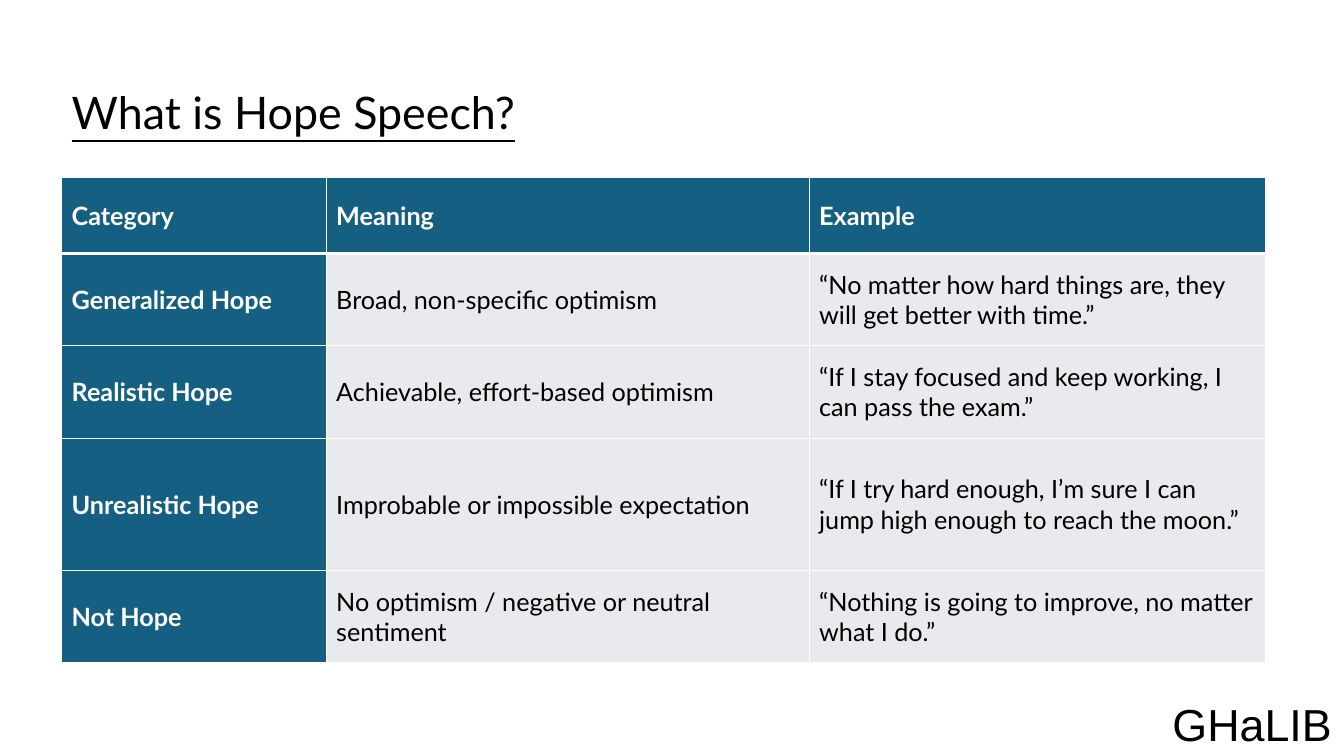
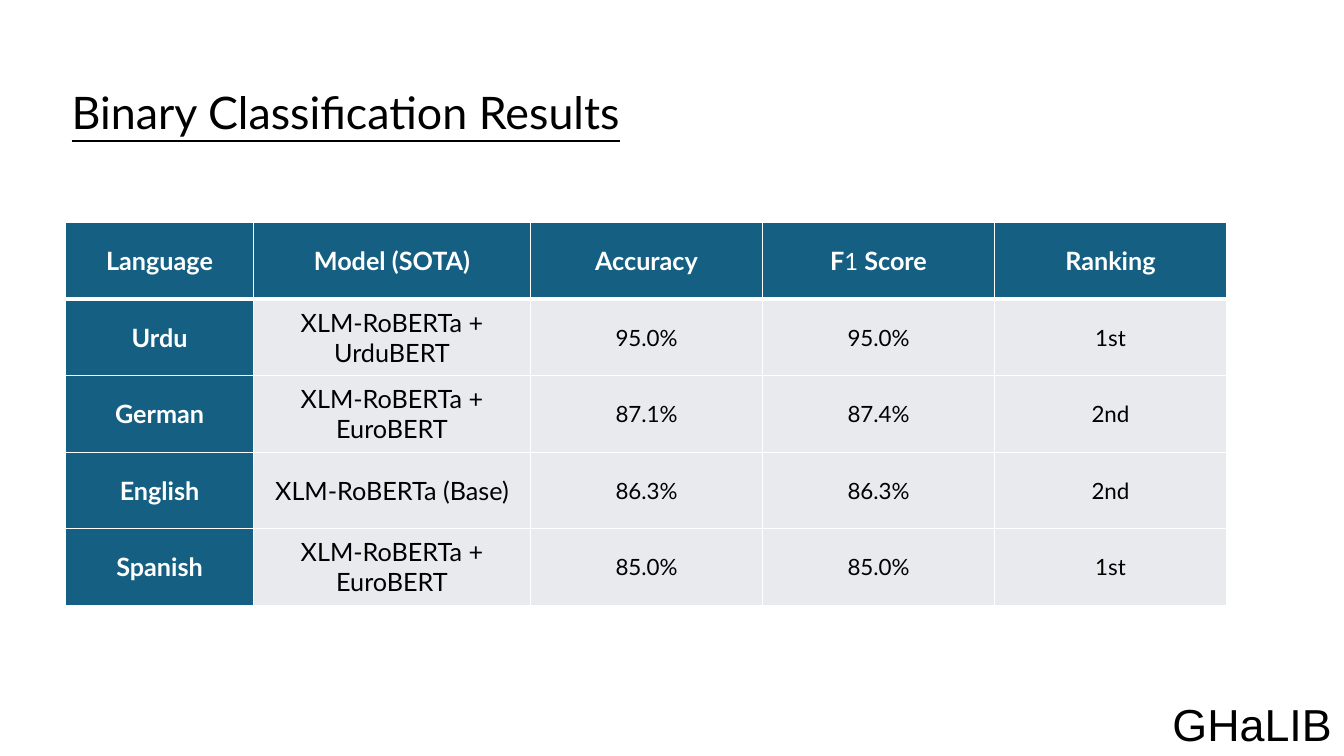
from lxml.etree import SubElement
from pptx import Presentation
from pptx.dml.color import RGBColor
from pptx.enum.text import MSO_ANCHOR as ANCHOR, PP_ALIGN as ALIGN
from pptx.oxml.ns import qn
from pptx.util import Pt

BLACK = RGBColor(0x00, 0x00, 0x00)
WHITE = RGBColor(0xFF, 0xFF, 0xFF)
TEAL = RGBColor(0x15, 0x60, 0x82)
PALE = RGBColor(0xE8, 0xEA, 0xED)


class Deck:
    """Shared style and the slide being built."""
    FONT = "Lato"
    FOOTER_FONT = "Arial"
    TITLE_ONLY = 5

    def __init__(self):
        self.prs = Presentation()
        self.prs.slide_width, self.prs.slide_height = Pt(960), Pt(540)
        self.s = None

    def style(self, p, size, color=BLACK, bold=False, name=FONT, align=ALIGN.LEFT):
        p.alignment = align
        f = p.font
        f.name, f.size, f.bold = name, Pt(size), bold
        f.color.rgb = color

    def slide(self, title, width):
        self.s = self.prs.slides.add_slide(self.prs.slide_layouts[self.TITLE_ONLY])
        self.footer("GHaLIB")
        self.title(title, width)

    def title(self, text, width):
        sp = self.s.shapes.title
        sp.left, sp.top, sp.width, sp.height = Pt(44), Pt(57), Pt(width), Pt(46)
        tf = sp.text_frame
        tf.text = text
        tf.word_wrap = False
        tf.vertical_anchor = ANCHOR.MIDDLE
        p = tf.paragraphs[0]
        self.style(p, 32)
        p.font.underline = True

    def footer(self, text):
        tf = self.s.shapes.add_textbox(Pt(830.4), Pt(494), Pt(129.6), Pt(46)).text_frame
        tf.word_wrap = True
        tf.text = text
        self.style(tf.paragraphs[0], 32, name=self.FOOTER_FONT)

    def borders(self, cell, top, bottom):
        tc_pr = cell._tc.get_or_add_tcPr()
        for side, width in (("L", 1), ("R", 1), ("T", top), ("B", bottom)):
            ln = SubElement(tc_pr, qn(f"a:ln{side}"), w=str(Pt(width)))
            fill = SubElement(ln, qn("a:solidFill"))
            SubElement(fill, qn("a:srgbClr"), val=str(WHITE))

    def table(self, left, top, widths, heights, rows, sizes, align=ALIGN.LEFT):
        """Table with a dark header row and first column; sizes are per body column."""
        tb = self.s.shapes.add_table(len(rows), len(widths), Pt(left), Pt(top),
                                     Pt(sum(widths)), Pt(sum(heights))).table
        tb.first_row = tb.horz_banding = False
        for col, width in zip(tb.columns, widths):
            col.width = Pt(width)
        for row, height in zip(tb.rows, heights):
            row.height = Pt(height)
        for i, row in enumerate(rows):
            for j, text in enumerate(row):
                cell = tb.cell(i, j)
                dark = i == 0 or j == 0
                # A 3 pt rule parts the header from the body
                self.borders(cell, 3 if i == 1 else 1, 3 if i == 0 else 1)
                cell.fill.solid()
                cell.fill.fore_color.rgb = TEAL if dark else PALE
                cell.vertical_anchor = ANCHOR.MIDDLE
                p = cell.text_frame.paragraphs[0]
                self.style(p, 18 if dark else sizes[j], WHITE if dark else BLACK,
                           dark, align=align)
                for part in [text] if isinstance(text, str) else text:
                    p.add_run().text = part
        return tb


def main():
    deck = Deck()

    # Hope speech categories
    deck.slide("What is Hope Speech?", 354)
    deck.table(44, 127, [189, 345, 326], [54, 66, 66, 94.5, 66], [
        ["Category", "Meaning", "Example"],
        ["Generalized Hope", "Broad, non-specific optimism",
         "“No matter how hard things are, they will get better with time.”"],
        ["Realistic Hope", "Achievable, effort-based optimism",
         "“If I stay focused and keep working, I can pass the exam.”"],
        ["Unrealistic Hope", "Improbable or impossible expectation",
         "“If I try hard enough, I’m sure I can jump high enough to reach the moon.”"],
        ["Not Hope", "No optimism / negative or neutral sentiment",
         "“Nothing is going to improve, no matter what I do.”"],
    ], [18] * 3)

    # Results by language
    deck.slide("Binary Classification Results", 418)
    results = deck.table(47, 159, [134, 198] + [165.7] * 3, [54.7] * 5, [
        ["Language", "Model (SOTA)", "Accuracy", ("F", "1", " Score"), "Ranking"],
        ["Urdu", "XLM-RoBERTa + UrduBERT", "95.0%", "95.0%", "1st"],
        ["German", "XLM-RoBERTa + EuroBERT", "87.1%", "87.4%", "2nd"],
        ["English", "XLM-RoBERTa (Base)", "86.3%", "86.3%", "2nd"],
        ["Spanish", "XLM-RoBERTa + EuroBERT", "85.0%", "85.0%", "1st"],
    ], [18, 18, 16, 16, 16], ALIGN.CENTER)
    # Lighter digit in the F1 heading
    digit = results.cell(0, 3).text_frame.paragraphs[0].runs[1].font
    digit.size, digit.bold = Pt(17), False

    deck.prs.save("out.pptx")


if __name__ == "__main__":
    main()
